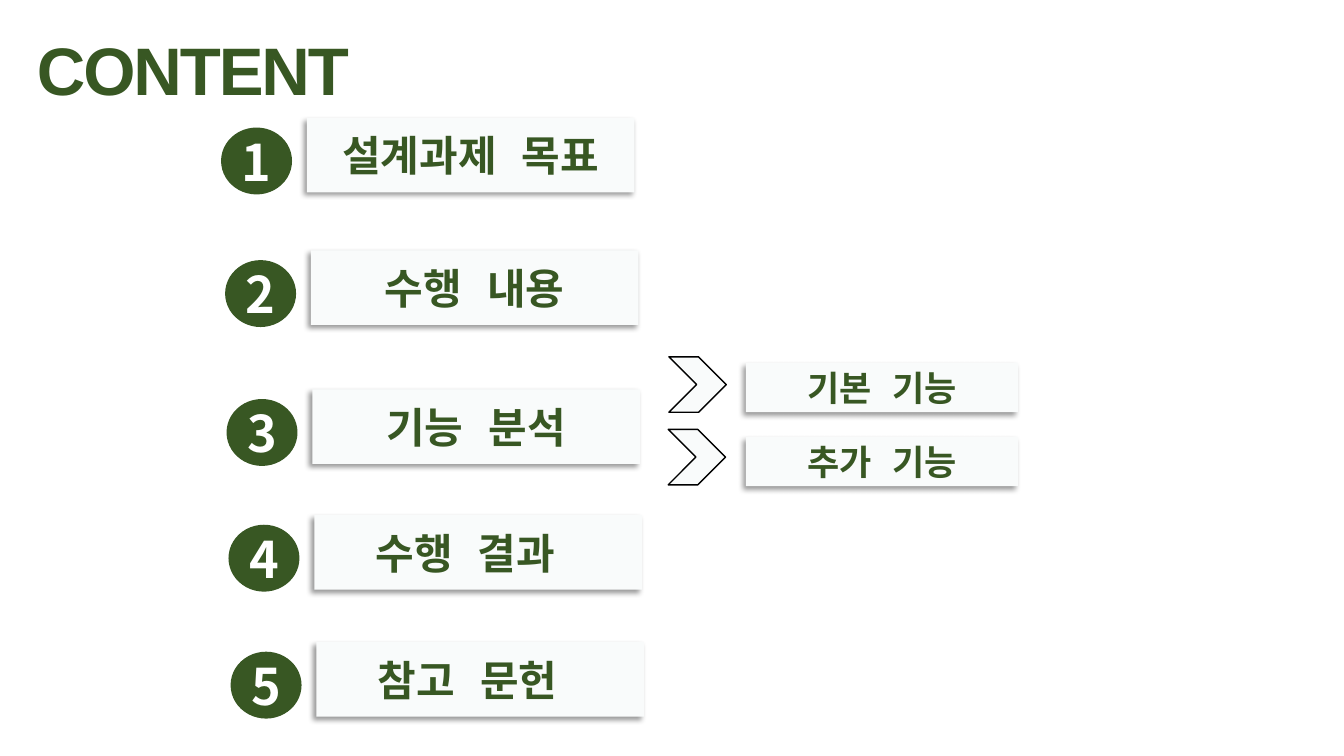
from pptx import Presentation
from pptx.dml.color import RGBColor
from pptx.enum.shapes import MSO_SHAPE as SHAPE
from pptx.enum.text import MSO_ANCHOR as ANCHOR, MSO_AUTO_SIZE as AUTO_SIZE, PP_ALIGN as ALIGN
from pptx.oxml import parse_xml
from pptx.oxml.ns import nsdecls, qn
from pptx.util import Pt

GREEN = RGBColor(0x38, 0x57, 0x23)
PALE = RGBColor(0xF9, 0xFB, 0xFB)
WHITE = RGBColor(0xFF, 0xFF, 0xFF)
BLACK = RGBColor(0x00, 0x00, 0x00)
NUMBER_FONT = "Noto Sans CJK KR"
LABEL_FONT = "Noto Sans Mono"
SHADOW = (
    f'<a:outerShdw {nsdecls("a")} blurRad="{Pt(4)}" dist="{Pt(3)}" dir="8100000" '
    'algn="tr" rotWithShape="0"><a:srgbClr val="000000"><a:alpha val="40000"/>'
    '</a:srgbClr></a:outerShdw>'
)

prs = Presentation()
prs.slide_width, prs.slide_height = Pt(960), Pt(540)
s = prs.slides.add_slide(prs.slide_layouts[6])


def add_box(kind, x, y, w, h, fill, line=None):
    """Add a preset shape; one without a line is a card with a drop shadow."""
    sp = s.shapes.add_shape(kind, Pt(x), Pt(y), Pt(w), Pt(h))
    sp.fill.solid()
    sp.fill.fore_color.rgb = fill
    sp.shadow.inherit = False
    if line is None:
        sp.line.fill.background()
        sp._element.spPr.find(qn("a:effectLst")).append(parse_xml(SHADOW))
    else:
        sp.line.color.rgb = line
        sp.line.width = Pt(1)
    return sp


def write(sp, text, size, font, color):
    """Write one bold centred run, with the font set for Latin and Korean."""
    tf = sp.text_frame
    tf.vertical_anchor = ANCHOR.MIDDLE
    p = tf.paragraphs[0]
    p.alignment = ALIGN.CENTER
    r = p.add_run()
    r.text = text
    r.font.size = Pt(size)
    r.font.bold = True
    r.font.name = font
    r.font.color.rgb = color
    r.font._element.find(qn("a:latin")).addnext(
        parse_xml(f'<a:ea {nsdecls("a")} typeface="{font}"/>'))
    return r


# Title
title = s.shapes.add_textbox(Pt(18.7), Pt(16.6), Pt(238.3), Pt(65.5))
title.text_frame.word_wrap = False
title.text_frame.auto_size = AUTO_SIZE.SHAPE_TO_FIT_TEXT
r = write(title, "CONTENT", 48, "Arial", GREEN)
title.text_frame.vertical_anchor = ANCHOR.TOP
r.font._element.set("spc", "-150")

# Numbered chapters: left and top of each badge
chapters = [
    ("설계과제 목표", 158.4, 91.6),
    ("수행 내용", 161.3, 186.3),
    ("기능 분석", 162.3, 285.5),
    ("수행 결과 ", 163.7, 375.3),
    ("참고 문헌 ", 165.2, 466),
]
for number, (label, x, y) in enumerate(chapters, 1):
    badge = add_box(SHAPE.OVAL, x, y, 49.7, 46.8, GREEN, GREEN)
    write(badge, str(number), 36, NUMBER_FONT, WHITE)
    card = add_box(SHAPE.RECTANGLE, x + 60.8, y - 7.4, 234, 53.3, PALE)
    write(card, label, 30, LABEL_FONT, GREEN)

# Subtopics of chapter 3
for i, label in enumerate(["기본 기능", "추가 기능"]):
    add_box(SHAPE.CHEVRON, 477.8 - 0.5 * i, 254.9 + 51.8 * i, 41, 39.6, PALE, BLACK)
    card = add_box(SHAPE.RECTANGLE, 532.8, 259.2 + 52.8 * i, 194.4, 35.3, PALE)
    write(card, label, 25, LABEL_FONT, GREEN)

prs.save("out.pptx")
